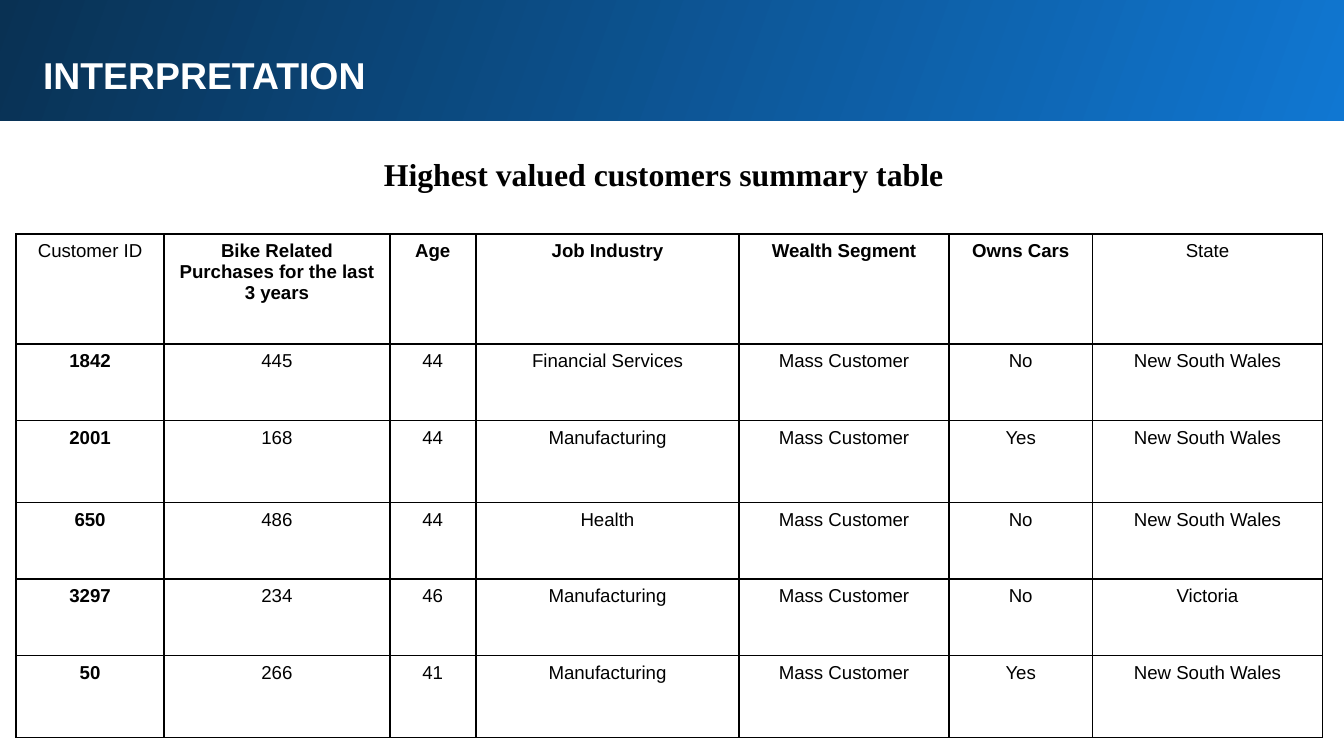
import dataclasses

import pptx
import pptx.dml.color
import pptx.enum.shapes
import pptx.enum.text
import pptx.oxml
import pptx.oxml.ns
import pptx.util

Inches = pptx.util.Inches
Pt = pptx.util.Pt
ALIGN = pptx.enum.text.PP_ALIGN
TOP = pptx.enum.text.MSO_ANCHOR.TOP
BLACK, WHITE = "000000", "FFFFFF"
SLIDE_WIDTH = 10


@dataclasses.dataclass(frozen=True)
class TextStyle:
    size: float
    font: str = "Arial"
    color: str = BLACK
    bold: bool = False


@dataclasses.dataclass(frozen=True)
class Column:
    heading: str
    width: float
    bold_heading: bool = True
    bold_values: bool = False


COLUMNS = [
    Column("Customer ID", 1.1, bold_heading=False, bold_values=True),
    Column("Bike Related Purchases for the last 3 years", 1.68),
    Column("Age", 0.64),
    Column("Job Industry", 1.96),
    Column("Wealth Segment", 1.56),
    Column("Owns Cars", 1.07),
    Column("State", 1.71, bold_heading=False),
]
CUSTOMERS = [
    ("1842", "445", "44", "Financial Services", "Mass Customer", "No", "New South Wales"),
    ("2001", "168", "44", "Manufacturing", "Mass Customer", "Yes", "New South Wales"),
    ("650", "486", "44", "Health", "Mass Customer", "No", "New South Wales"),
    ("3297", "234", "46", "Manufacturing", "Mass Customer", "No", "Victoria"),
    ("50", "266", "41", "Manufacturing", "Mass Customer", "Yes", "New South Wales"),
]
ROW_HEIGHTS = [0.82, 0.57, 0.61, 0.57, 0.57, 0.61]


def rgb(color: str) -> pptx.dml.color.RGBColor:
    return pptx.dml.color.RGBColor.from_string(color)


def write(paragraph, text: str, style: TextStyle, align=ALIGN.CENTER) -> None:
    paragraph.alignment = align
    run = paragraph.add_run()
    run.text = text
    run.font.size = Pt(style.size)
    run.font.name = style.font
    run.font.bold = style.bold
    run.font.color.rgb = rgb(style.color)


def place(placeholder, left: float, top: float, width: float, height: float):
    """Move a placeholder, set its frame and return its first paragraph."""
    placeholder.left, placeholder.top = Inches(left), Inches(top)
    placeholder.width, placeholder.height = Inches(width), Inches(height)
    frame = placeholder.text_frame
    frame.word_wrap = True
    frame.auto_size = pptx.enum.text.MSO_AUTO_SIZE.NONE
    frame.vertical_anchor = TOP
    frame.margin_left = frame.margin_right = Inches(0.1)
    frame.margin_top = frame.margin_bottom = Inches(0.1)
    paragraph = frame.paragraphs[0]
    paragraph.space_before = Pt(0)
    return paragraph


def remove_bullet(paragraph) -> None:
    properties = paragraph._p.get_or_add_pPr()
    properties.set("marL", "0")
    properties.set("indent", "0")
    properties.append(pptx.oxml.parse_xml(f'<a:buNone {pptx.oxml.ns.nsdecls("a")}/>'))


def add_header_band(slide) -> None:
    band = slide.shapes.add_shape(
        pptx.enum.shapes.MSO_SHAPE.RECTANGLE,
        Inches(-0.02), Inches(-0.02), Inches(10.05), Inches(0.92),
    )
    band.shadow.inherit = False
    band.line.fill.background()
    band.fill.gradient()
    band.fill.gradient_angle = 160
    for stop, position, color in zip(band.fill.gradient_stops, (0, 1), ("1077D2", "093153")):
        stop.position = position
        stop.color.rgb = rgb(color)
    # The band lies behind the title
    slide.shapes._spTree.insert(2, band._element)


def add_borders(cell, color: str, width: float) -> None:
    properties = cell._tc.get_or_add_tcPr()
    for index, side in enumerate(("lnL", "lnR", "lnT", "lnB")):
        border = pptx.oxml.parse_xml(
            f'<a:{side} {pptx.oxml.ns.nsdecls("a")} w="{Pt(width)}">'
            f'<a:solidFill><a:srgbClr val="{color}"/></a:solidFill></a:{side}>'
        )
        properties.insert(index, border)


def fill_cell(cell, text: str, bold: bool) -> None:
    cell.fill.solid()
    cell.fill.fore_color.rgb = rgb(WHITE)
    cell.vertical_anchor = TOP
    write(cell.text_frame.paragraphs[0], text, TextStyle(10, bold=bold))
    add_borders(cell, BLACK, 1)


def add_customer_table(slide) -> None:
    table = slide.shapes.add_table(
        len(ROW_HEIGHTS), len(COLUMNS), Inches(0.12), Inches(1.74),
        Inches(sum(column.width for column in COLUMNS)), Inches(sum(ROW_HEIGHTS)),
    ).table
    table.first_row = table.horz_banding = False
    for row, height in zip(table.rows, ROW_HEIGHTS):
        row.height = Inches(height)
    for col, column in enumerate(COLUMNS):
        table.columns[col].width = Inches(column.width)
        fill_cell(table.cell(0, col), column.heading, column.bold_heading)
        for row, customer in enumerate(CUSTOMERS, start=1):
            fill_cell(table.cell(row, col), customer[col], column.bold_values)


def main() -> None:
    deck = pptx.Presentation()
    deck.slide_width = Inches(SLIDE_WIDTH)
    deck.slide_height = Inches(SLIDE_WIDTH * 9 / 16)
    slide = deck.slides.add_slide(deck.slide_layouts[1])

    add_header_band(slide)
    title = place(slide.shapes.title, 0.22, 0.29, 9.37, 0.51)
    write(title, "INTERPRETATION", TextStyle(20, color=WHITE, bold=True), ALIGN.LEFT)

    caption = place(slide.placeholders[1], 0.38, 1.01, 9.12, 4.3)
    caption.line_spacing = 1.15
    remove_bullet(caption)
    write(caption, "Highest valued customers summary table",
          TextStyle(17, "Times New Roman", bold=True))

    add_customer_table(slide)
    deck.save("out.pptx")


if __name__ == "__main__":
    main()
